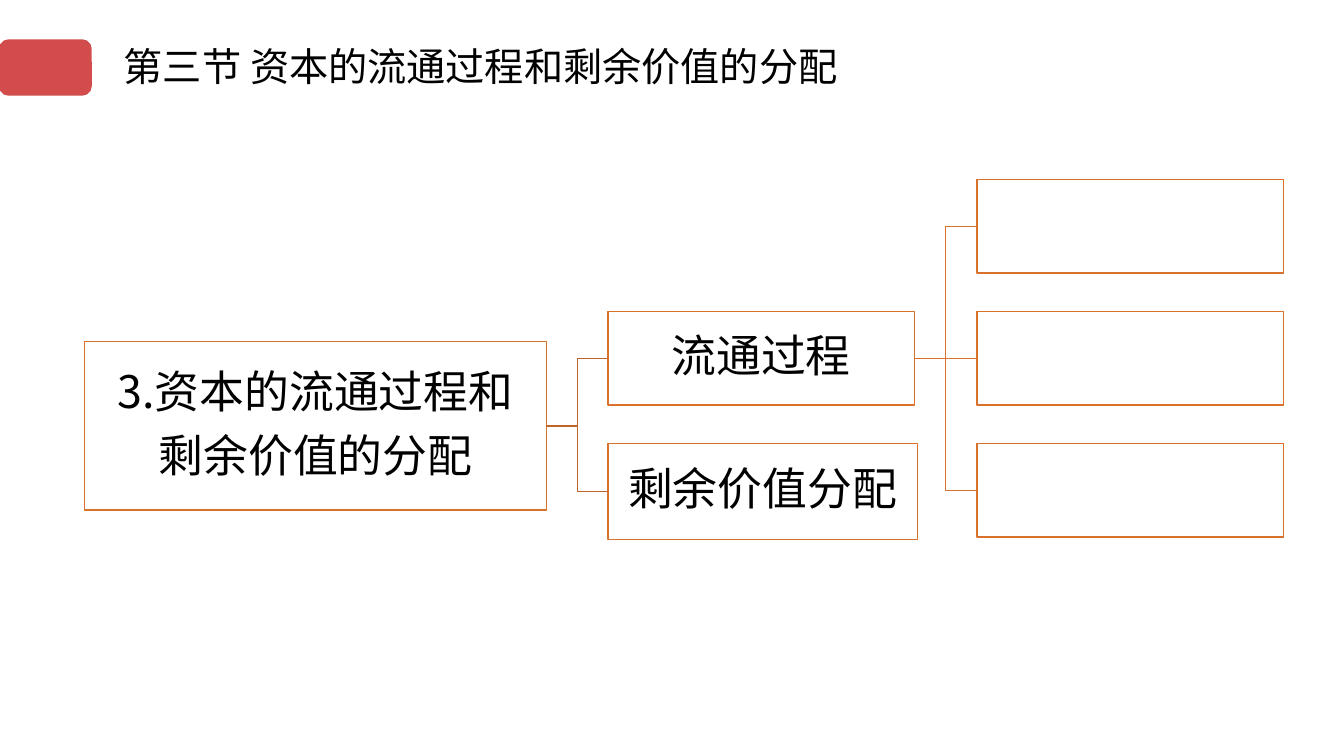
import pptx
import pptx.util
import pptx.dml.color
import pptx.enum.shapes
import pptx.enum.text
import pptx.oxml.ns
from lxml import etree

Inches = pptx.util.Inches
Pt = pptx.util.Pt
RGBColor = pptx.dml.color.RGBColor
Shape = pptx.enum.shapes.MSO_SHAPE
qn = pptx.oxml.ns.qn

RED = RGBColor(0xC0, 0x00, 0x00)
ORANGE = RGBColor(0xD7, 0x71, 0x2C)
BROWN = RGBColor(0xBE, 0x64, 0x27)
WHITE = RGBColor(0xFF, 0xFF, 0xFF)
BLACK = RGBColor(0x00, 0x00, 0x00)


class TreePage:
    font_name = "Noto Sans CJK SC"
    line_width = Pt(1)

    def __init__(self, deck):
        self.page = deck.slides.add_slide(deck.slide_layouts[6])

    def style_font(self, para, size):
        para.font.size = Pt(size)
        para.font.name = self.font_name
        para.font.color.rgb = BLACK
        properties = para._p.pPr.find(qn("a:defRPr"))
        etree.SubElement(properties, qn("a:ea"), typeface=self.font_name)

    def tab(self, left, top, width, height):
        shape = self.page.shapes.add_shape(
            Shape.ROUNDED_RECTANGLE, Inches(left), Inches(top), Inches(width), Inches(height))
        shape.shadow.inherit = False
        shape.fill.solid()
        shape.fill.fore_color.rgb = RED
        color = shape._element.spPr.find(qn("a:solidFill"))[0]
        etree.SubElement(color, qn("a:alpha"), val="70000")
        shape.line.fill.background()

    def title(self, text, left, top, width, height):
        box = self.page.shapes.add_textbox(
            Inches(left), Inches(top), Inches(width), Inches(height))
        box.text_frame.word_wrap = True
        para = box.text_frame.paragraphs[0]
        para.text = text
        self.style_font(para, 28)

    def node(self, left, top, width, height, lines=()):
        box = self.page.shapes.add_shape(
            Shape.RECTANGLE, Inches(left), Inches(top), Inches(width), Inches(height))
        box.shadow.inherit = False
        box.fill.solid()
        box.fill.fore_color.rgb = WHITE
        box.line.color.rgb = ORANGE
        box.line.width = self.line_width
        frame = box.text_frame
        frame.word_wrap = True
        frame.vertical_anchor = pptx.enum.text.MSO_ANCHOR.MIDDLE
        frame.margin_left = frame.margin_right = Inches(0.02)
        frame.margin_top = frame.margin_bottom = Inches(0.02)
        for index, line in enumerate(lines):
            para = frame.add_paragraph() if index else frame.paragraphs[0]
            para.text = line
            para.alignment = pptx.enum.text.PP_ALIGN.CENTER
            para.line_spacing = 0.9
            # Space after is a share of the line
            after = etree.SubElement(para._p.pPr, qn("a:spcAft"))
            etree.SubElement(after, qn("a:spcPct"), val="35000")
            self.style_font(para, 32)
        return box

    def link(self, parent, child, color):
        start_x, start_y = parent.left + parent.width, parent.top + parent.height // 2
        end_x, end_y = child.left, child.top + child.height // 2
        if start_y == end_y:
            line = self.page.shapes.add_connector(
                pptx.enum.shapes.MSO_CONNECTOR.STRAIGHT, start_x, start_y, end_x, end_y)
            line.begin_connect(parent, 3)
            line.end_connect(child, 1)
        else:
            middle_x = (start_x + end_x) // 2
            builder = self.page.shapes.build_freeform(start_x, start_y)
            builder.add_line_segments(
                [(middle_x, start_y), (middle_x, end_y), (end_x, end_y)], close=False)
            line = builder.convert_to_shape()
            line.fill.background()
        line.line.color.rgb = color
        line.line.width = self.line_width
        if line._element.spPr.find(qn("a:effectLst")) is None:
            etree.SubElement(line._element.spPr, qn("a:effectLst"))


def main():
    deck = pptx.Presentation()
    deck.slide_width, deck.slide_height = Inches(13.33), Inches(7.5)
    tree = TreePage(deck)

    # Heading
    tree.tab(-0.01, 0.39, 0.92, 0.56)
    tree.title("第三节 资本的流通过程和剩余价值的分配", 1.13, 0.37, 7.4, 0.71)

    # Boxes, column by column
    root = tree.node(0.84, 3.39, 4.58, 1.67, ["3.资本的流通过程和", "剩余价值的分配"])
    circulation = tree.node(6.03, 3.09, 3.04, 0.93, ["流通过程"])
    distribution = tree.node(6.03, 4.4, 3.07, 0.95, ["剩余价值分配"])
    leaves = [tree.node(9.69, 1.78 + 1.31 * row, 3.04, 0.93) for row in range(3)]

    # Branch lines
    for branch in (circulation, distribution):
        tree.link(root, branch, BROWN)
    for leaf in leaves:
        tree.link(circulation, leaf, ORANGE)

    deck.save("out.pptx")


if __name__ == "__main__":
    main()
